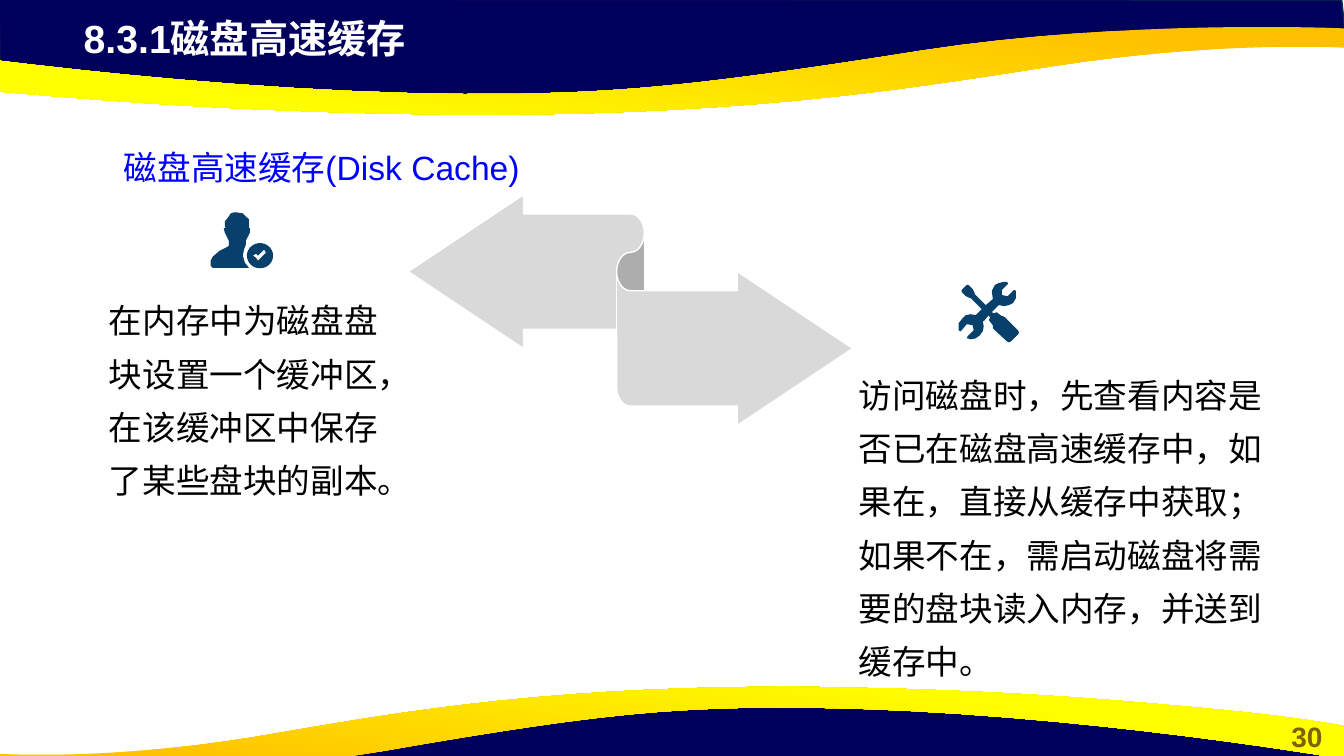
import collections
import math

import pptx
import pptx.dml.color
import pptx.enum.shapes
import pptx.enum.text
import pptx.oxml
import pptx.oxml.ns
import pptx.util

Pt = pptx.util.Pt
Align = pptx.enum.text.PP_ALIGN
Anchor = pptx.enum.text.MSO_ANCHOR
Box = collections.namedtuple("Box", "left top width height")
Outline = collections.namedtuple("Outline", "width height contours")

NAVY, ICON_BLUE, WHITE = "00005C", "07416B", "FFFFFF"

BAND = [(0, 0), (1, 71), (294, 103), (560, 101), (796, 89),
        (1017, 51), (1239, 34), (1336, 39), (1332, 1)]

WAVE_START = (616, 88)
WAVE_SEGMENTS = [
    [(576, 88), (534, 87), (489, 86)],
    [(339, 82), (243, 74), (169, 68)],
    [(45, 58), (3, 49), (0, 49)],
    [(0, 16)],
    [(0, 16), (351, 72), (650, 67)],
    [(759, 65), (841, 57), (1048, 24)],
    [(1254, -8), (1467, 2), (1467, 2)],
    [(1467, 21)],
    [(1463, 21)],
    [(1438, 20), (1328, 17), (1188, 38)],
    [(1051, 59), (895, 87), (616, 88)],
]

PERSON = [(26, 0), (32, 1), (35, 4), (38, 7), (38, 15), (39, 16), (39, 20),
          (37, 24), (35, 28), (35, 32), (33, 37), (32, 43), (34, 50), (38, 55),
          (2, 55), (0, 53), (0, 48), (2, 44), (9, 38), (17, 34), (18, 33),
          (18, 28), (16, 24), (14, 20), (13, 16), (15, 15), (14, 14), (14, 9),
          (18, 4), (20, 1), (23, 0)]
BADGE = [(49 + 13 * math.cos(math.radians(angle)),
          43 + 12.5 * math.sin(math.radians(angle))) for angle in range(0, 360, 12)]
CHECK = [(53, 37), (47, 43), (45, 41), (42, 43), (45, 45), (47, 48), (50, 45), (55, 40)]

TOOLS = [(60, 48), (47, 35), (45, 34), (44, 34), (40, 31), (39, 30), (37, 31),
         (36, 31), (34, 30), (41, 23), (46, 24), (51, 23), (55, 21), (58, 16),
         (58, 9), (57, 8), (56, 8), (50, 14), (49, 14), (44, 13), (44, 8),
         (50, 2), (50, 1), (49, 0), (46, 0), (41, 1), (37, 3), (34, 9), (35, 17),
         (28, 23), (17, 12), (17, 11), (15, 7), (11, 3), (9, 3), (4, 8),
         (4, 10), (8, 14), (12, 16), (13, 16), (24, 27), (19, 32), (18, 33),
         (13, 32), (8, 33), (5, 36), (1, 41), (1, 48), (3, 49), (4, 48), (9, 42),
         (10, 42), (15, 43), (16, 48), (15, 49), (10, 54), (9, 56), (10, 56),
         (13, 57), (18, 56), (22, 53), (25, 49), (26, 44), (25, 39), (26, 39),
         (31, 33), (32, 35), (32, 36), (31, 38), (32, 39), (35, 43), (35, 46),
         (49, 59), (51, 60), (53, 59), (60, 52), (61, 50)]


def color(hex_string):
    return pptx.dml.color.RGBColor.from_string(hex_string)


def set_attributes(target, values):
    for name, value in values.items():
        setattr(target, name, value)


def trace_curves(start, segments, steps=16):
    points = [start]
    for segment in segments:
        if len(segment) == 1:
            points += segment
            continue
        corners = [points[-1], *segment]
        for step in range(1, steps + 1):
            t = step / steps
            weights = [(1 - t) ** 3, 3 * t * (1 - t) ** 2, 3 * t ** 2 * (1 - t), t ** 3]
            points.append(tuple(sum(weight * corner[axis] for weight, corner in zip(weights, corners))
                                for axis in (0, 1)))
    return points


def paint(shape, fill, line=None):
    shape.shadow.inherit = False
    shape.fill.solid()
    shape.fill.fore_color.rgb = color(fill)
    if line:
        shape.line.color.rgb = color(line)
        shape.line.width = Pt(1)
    else:
        shape.line.fill.background()


def draw_outline(slide, box, outline, fill, line=None, turned=False):
    def place(point):
        across, down = point[0] / outline.width, point[1] / outline.height
        if turned:
            across, down = 1 - across, 1 - down
        return Pt(box.left + across * box.width), Pt(box.top + down * box.height)

    contours = [[place(point) for point in contour] for contour in outline.contours]
    builder = slide.shapes.build_freeform(*contours[0][0])
    for contour in contours:
        builder.move_to(*contour[0])
        builder.add_line_segments(contour[1:], close=True)
    shape = builder.convert_to_shape()
    paint(shape, fill, line)
    return shape


def draw_band(slide, band_box, wave_box, turned):
    draw_outline(slide, band_box, Outline(1336, 103, [BAND]), NAVY, "05304F", turned)
    wave = Outline(1467, 88, [trace_curves(WAVE_START, WAVE_SEGMENTS)])
    shape = draw_outline(slide, wave_box, wave, "FFC000", turned=turned)
    shape.fill.gradient()
    shape.fill.gradient_angle = 80 if turned else 260
    for stop, position, shade in zip(shape.fill.gradient_stops, (0.11, 0.78), ("FFC000", "FFFF00")):
        stop.position = position
        stop.color.rgb = color(shade)


def write_text(shape, box, text, shade, size, bold=False, anchor=Anchor.TOP,
               align=Align.LEFT, line_spacing=1.0):
    set_attributes(shape, {name: Pt(value) for name, value in box._asdict().items()})
    frame = shape.text_frame
    set_attributes(frame, {"word_wrap": True, "vertical_anchor": anchor,
                           "auto_size": pptx.enum.text.MSO_AUTO_SIZE.NONE})
    paragraph = frame.paragraphs[0]
    properties = paragraph._p.get_or_add_pPr()
    properties.set("marL", "0")
    properties.set("indent", "0")
    properties.append(pptx.oxml.parse_xml(f"<a:buNone {pptx.oxml.ns.nsdecls('a')}/>"))
    set_attributes(paragraph, {"alignment": align, "line_spacing": line_spacing, "space_before": Pt(0)})
    run = paragraph.add_run()
    run.text = text
    set_attributes(run.font, {"name": "Arial", "size": Pt(size), "bold": bold})
    run.font.color.rgb = color(shade)


def add_label(slide, box, text, shade, size, **options):
    shape = slide.shapes.add_textbox(*(Pt(value) for value in box))
    write_text(shape, box, text, shade, size, **options)


def fill_placeholder(placeholder, box, text, shade, size, **options):
    placeholder.element.getparent().append(placeholder.element)
    write_text(placeholder, box, text, shade, size, **options)


def draw_ribbon(slide, box):
    shape = slide.shapes.add_shape(pptx.enum.shapes.MSO_SHAPE.LEFT_RIGHT_RIBBON,
                                   *(Pt(value) for value in box))
    for index, value in enumerate((0.5, 0.5, 0.333)):
        shape.adjustments[index] = value
    paint(shape, "D9D9D9", WHITE)


def draw_topic(slide, placeholder, box, icon, icon_box, text):
    draw_outline(slide, Box(box.left + icon_box.left, box.top + icon_box.top,
                            icon_box.width, icon_box.height), icon, ICON_BLUE)
    fill_placeholder(placeholder, box, text, "000000", 24, line_spacing=1.32)


def build_slide(presentation):
    slide = presentation.slides.add_slide(presentation.slide_layouts[3])
    title, left_body, right_body = slide.placeholders
    draw_band(slide, Box(-0.7, -0.7, 962, 74.2), Box(-95.8, 18.9, 1056, 63.2), False)
    draw_band(slide, Box(-2.2, 497.5, 962, 74.2), Box(-0.7, 490.5, 960.5, 63.2), True)
    add_label(slide, Box(907.2, 510.5, 52.6, 31.7), "30", "806000", 20, bold=True, align=Align.CENTER)
    fill_placeholder(title, Box(52.6, 6.5, 553, 41), "8.3.1磁盘高速缓存", WHITE, 28, bold=True)
    add_label(slide, Box(81.4, 103.7, 624.2, 31.7), "磁盘高速缓存(Disk Cache)", "0000FF", 24,
              anchor=Anchor.MIDDLE)
    draw_ribbon(slide, Box(291.6, 139, 317.5, 164.9))
    draw_topic(slide, left_body, Box(70.6, 201.6, 221, 203),
               Outline(62, 56, [PERSON, BADGE, CHECK]), Box(79.9, -49.9, 44.6, 40.3),
               "在内存中为磁盘盘块设置一个缓冲区，在该缓冲区中保存了某些盘块的副本。")
    draw_topic(slide, right_body, Box(606.2, 254.9, 319.7, 207.4),
               Outline(61, 61, [TOOLS]), Box(77.8, -53.5, 43.9, 43.9),
               "访问磁盘时，先查看内容是否已在磁盘高速缓存中，如果在，直接从缓存中获取；"
               "如果不在，需启动磁盘将需要的盘块读入内存，并送到缓存中。")


def main():
    presentation = pptx.Presentation()
    set_attributes(presentation, {"slide_width": Pt(960), "slide_height": Pt(540)})
    build_slide(presentation)
    presentation.save("out.pptx")


if __name__ == "__main__":
    main()
